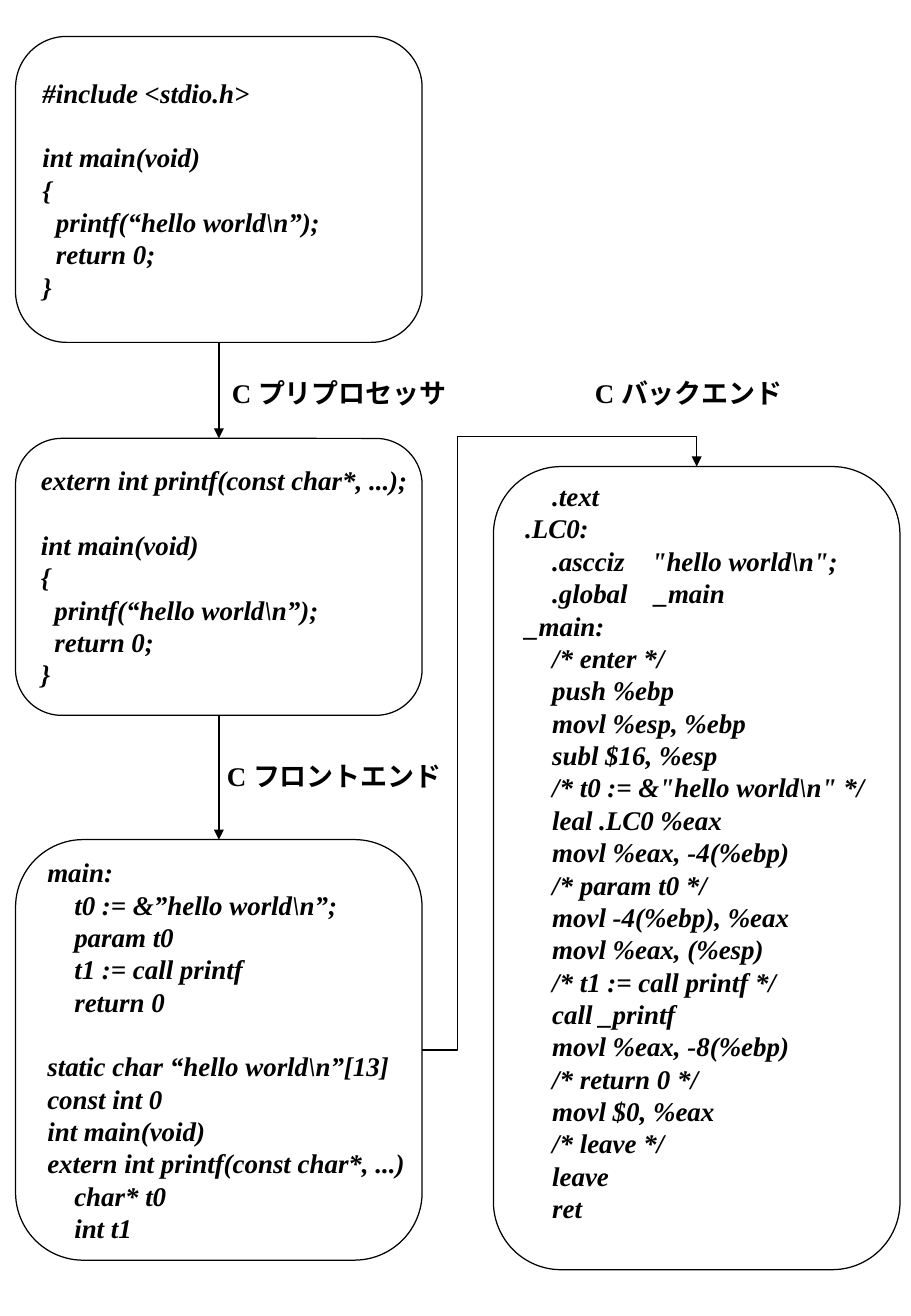
from dataclasses import dataclass

from lxml import etree
from pptx import Presentation
from pptx import util as u
from pptx.dml.color import RGBColor
from pptx.enum import shapes, text
from pptx.oxml.ns import qn

COLORS = {"ink": "000000", "paper": "FFFFFF"}
FONT, SIZE, LINE_PITCH, SPACE_WIDTH = "Times New Roman", 16, 19.2, 4
COLUMN_WIDTH, LEFT_COLUMN, RIGHT_COLUMN = 241, 9.25, 292.5
TOP, BOTTOM, RIGHT = 0, 2, 3  # connection sites of a rounded rectangle


@dataclass
class CodeBox:
    left: float
    top: float
    height: float
    code: str
    bottom_inset: float = 3.6


@dataclass
class Label:
    left: float
    top: float
    width: float
    caption: str


@dataclass
class Arrow:
    start: int
    start_site: int
    end: int
    end_site: int
    bends: tuple[int, ...] = ()


BOXES = [
    CodeBox(LEFT_COLUMN, 21.6, 181.4, r"""#include <stdio.h>

int main(void)
{
  printf(“hello world\n”);
  return 0;
}"""),
    CodeBox(LEFT_COLUMN, 259.9, 164.2, r"""extern int printf(const char*, ...);

int main(void)
{
  printf(“hello world\n”);
  return 0;
}"""),
    CodeBox(LEFT_COLUMN, 497.8, 249.4, r"""main:
    t0 := &”hello world\n”;
    param t0
    t1 := call printf
    return 0

static char “hello world\n”[13]
const int 0
int main(void)
extern int printf(const char*, ...)
    char* t0
    int t1"""),
    CodeBox(RIGHT_COLUMN, 276.6, 476.2, r"""    .text
.LC0:
    .ascciz    "hello world\n";
    .global    _main
_main:
    /* enter */
    push %ebp
    movl %esp, %ebp
    subl $16, %esp
    /* t0 := &"hello world\n" */
    leal .LC0 %eax
    movl %eax, -4(%ebp)
    /* param t0 */
    movl -4(%ebp), %eax
    movl %eax, (%esp)
    /* t1 := call printf */
    call _printf
    movl %eax, -8(%ebp)
    /* return 0 */
    movl $0, %eax
    /* leave */
    leave
    ret""", bottom_inset=3.6 + LINE_PITCH),
]
LABELS = [
    Label(130.4, 219.8, 145.4, "C プリプロセッサ"),
    Label(127.4, 446.6, 145.4, "C フロントエンド"),
    Label(345.6, 219.8, 129.6, "C バックエンド"),
]
ARROWS = [
    Arrow(0, BOTTOM, 1, TOP),
    Arrow(1, BOTTOM, 2, TOP),
    Arrow(2, RIGHT, 3, TOP, bends=(13000, 105200)),
]


def color(name: str) -> RGBColor:
    return RGBColor.from_string(COLORS[name])


def format_runs(p, italic: bool) -> None:
    for r in p.runs:
        r.font.name, r.font.size = FONT, u.Pt(SIZE)
        r.font.bold, r.font.italic = True, italic
        r.font.color.rgb = color("ink")


def write_code(tf, code: str) -> None:
    """Leading spaces become indents and empty lines become space before."""
    p, gap = tf.paragraphs[0], 0
    for number, line in enumerate(code.splitlines()):
        if not line:
            gap = LINE_PITCH
            continue
        if number:
            p = tf.add_paragraph()
        p.text = line.lstrip()
        p.alignment = text.PP_ALIGN.LEFT
        p.space_before, gap = u.Pt(gap), 0
        indent = (len(line) - len(p.text)) * SPACE_WIDTH
        pPr = p._p.get_or_add_pPr()
        pPr.set("marL", str(u.Pt(indent)))
        pPr.set("indent", "0")
        format_runs(p, italic=True)


def add_code_box(s, box: CodeBox):
    sp = s.shapes.add_shape(
        shapes.MSO_SHAPE.ROUNDED_RECTANGLE,
        u.Pt(box.left), u.Pt(box.top), u.Pt(COLUMN_WIDTH), u.Pt(box.height))
    sp.shadow.inherit = False
    sp.fill.background()
    sp.line.color.rgb, sp.line.width = color("ink"), u.Pt(0.75)
    tf = sp.text_frame
    tf.word_wrap = False
    tf.vertical_anchor = text.MSO_ANCHOR.MIDDLE
    tf.margin_bottom = u.Pt(box.bottom_inset)
    write_code(tf, box.code)
    return sp


def add_label(s, label: Label) -> None:
    sp = s.shapes.add_textbox(
        u.Pt(label.left), u.Pt(label.top), u.Pt(label.width), u.Pt(26.6))
    tf = sp.text_frame
    tf.word_wrap = False
    tf.auto_size = text.MSO_AUTO_SIZE.SHAPE_TO_FIT_TEXT
    tf.text = label.caption
    format_runs(tf.paragraphs[0], italic=False)


def add_arrow(s, arrow: Arrow, boxes: list) -> None:
    kind = shapes.MSO_CONNECTOR.ELBOW if arrow.bends else shapes.MSO_CONNECTOR.STRAIGHT
    cx = s.shapes.add_connector(kind, 0, 0, 0, 0)
    cx.begin_connect(boxes[arrow.start], arrow.start_site)
    cx.end_connect(boxes[arrow.end], arrow.end_site)
    cx.line.color.rgb, cx.line.width = color("ink"), u.Pt(0.75)
    spPr = cx._element.spPr
    etree.SubElement(spPr.find(qn("a:ln")), qn("a:tailEnd"), type="triangle")
    etree.SubElement(spPr, qn("a:effectLst"))
    if arrow.bends:
        geom = spPr.find(qn("a:prstGeom"))
        geom.set("prst", "bentConnector4")
        guides = geom.find(qn("a:avLst"))
        for i, bend in enumerate(arrow.bends, 1):
            etree.SubElement(guides, qn("a:gd"), name=f"adj{i}", fmla=f"val {bend}")


def main() -> None:
    prs = Presentation()
    prs.slide_width, prs.slide_height = u.Pt(540), u.Pt(780.25)
    s = prs.slides.add_slide(prs.slide_layouts[6])
    s.background.fill.solid()
    s.background.fill.fore_color.rgb = color("paper")
    boxes = [add_code_box(s, box) for box in BOXES]
    for arrow in ARROWS:
        add_arrow(s, arrow, boxes)
    for label in LABELS:
        add_label(s, label)
    prs.save("out.pptx")


if __name__ == "__main__":
    main()
